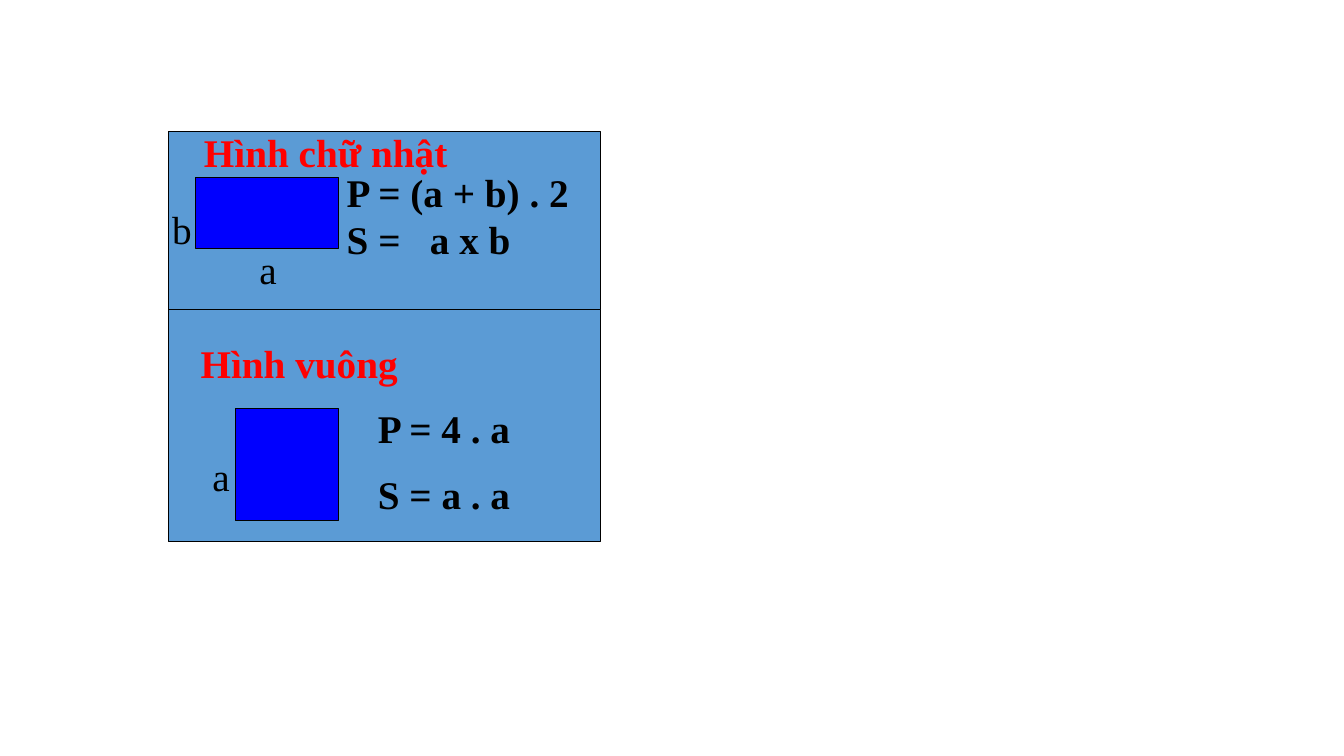
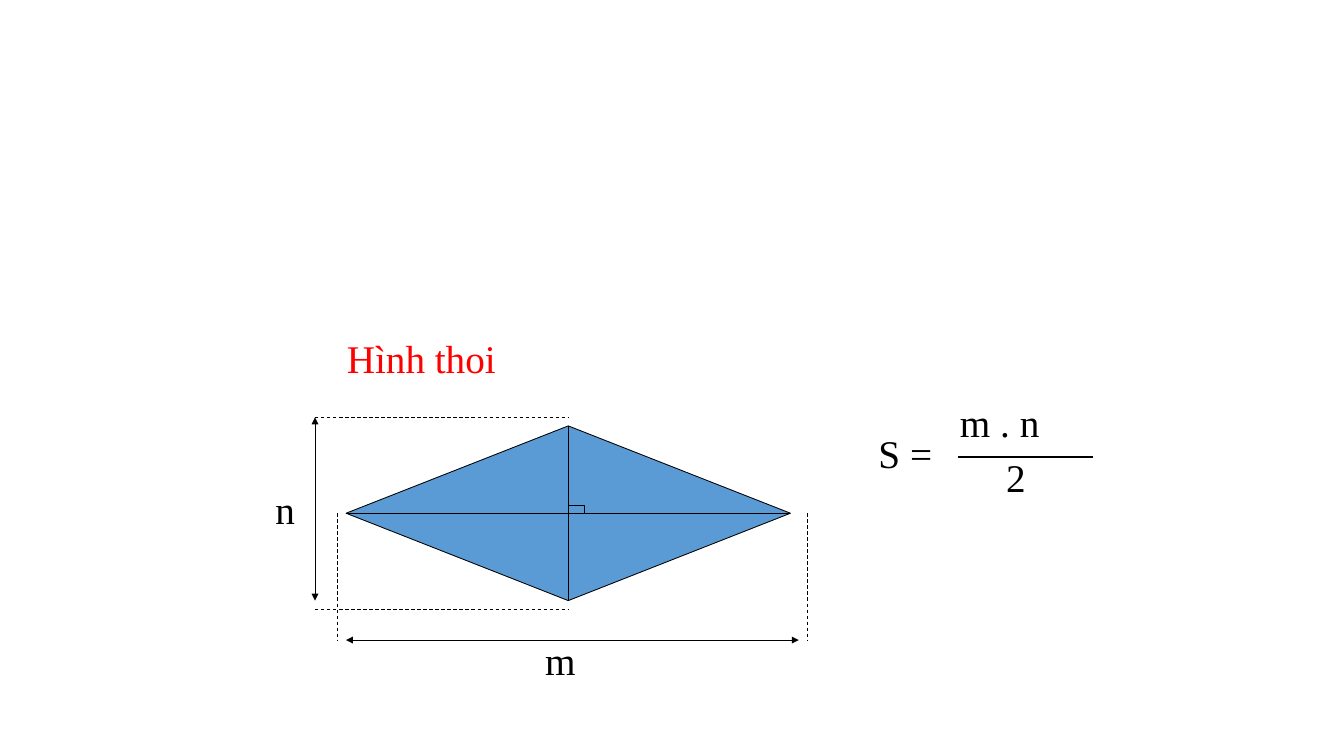
from lxml import etree
from pptx import Presentation
from pptx.dml.color import RGBColor
from pptx.enum.dml import MSO_LINE
from pptx.enum.shapes import MSO_CONNECTOR, MSO_SHAPE
from pptx.oxml.ns import qn
from pptx.util import Inches, Pt

RECTANGLE = MSO_SHAPE.RECTANGLE
DIAMOND = MSO_SHAPE.DIAMOND
STRAIGHT = MSO_CONNECTOR.STRAIGHT
DASH = MSO_LINE.DASH

BLACK = RGBColor(0x00, 0x00, 0x00)
RED = RGBColor(0xFF, 0x00, 0x00)
BLUE = RGBColor(0x00, 0x00, 0xFF)
PANEL = RGBColor(0x5B, 0x9B, 0xD5)
FONT = "Times New Roman"
TEXT_SIZE = 33.6
LABEL_HEIGHT = 0.67

PANEL_LEFT, PANEL_WIDTH = 2, 5.15
FIGURE_RIGHT = 4.03
FORMULA_TAB = 0.99

FIGURES = [
    {
        "panel": (1.57, 2.11),
        "figure": (2.11, 1.7, 0.85),
        "title": ("Hình chữ nhật", 2.33, 1.48, 3.21),
        "sides": [("a", 2.99, 2.87, 0.66), ("b", 1.95, 2.4, 0.47)],
        "formulas": (["P = (a + b) . 2", "S =\ta x b"], 4.03, 1.95, 3.17, 1.23),
        "gap": 0,
    },
    {
        "panel": (3.68, 2.77),
        "figure": (4.86, 1.23, 1.34),
        "title": ("Hình vuông", 2.29, 3.99, 2.81),
        "sides": [("a", 2.43, 5.33, 0.57)],
        "formulas": (["P = 4 . a", "S = a . a"], 4.4, 4.76, 2.2, 1.51),
        "gap": TEXT_SIZE / 2,
    },
]

RHOMBUS = (4.12, 5.07, 5.29, 2.08)
RHOMBUS_TITLE = ("Hình thoi", 4.03, 3.93, 3.21)
RHOMBUS_LABELS = [
    ("n", 3.18, 5.73, 0.47),
    ("m", 6.39, 7.53, 1.32),
    ("S =", 10.36, 5.06, 1.23),
    ("m . n", 11.33, 4.69, 1.58),
    ("2", 11.88, 5.35, 0.66),
]
FRACTION_BAR = (11.4, 5.44, 13.01, 5.44)
HEIGHT_ARROW_X, WIDTH_ARROW_Y = 3.75, 7.62
GUIDE_GAP = 0.1
RIGHT_ANGLE = (0.19, 0.09)


def add_block(slide, kind, left, top, width, height, color):
    shape = slide.shapes.add_shape(
        kind, Inches(left), Inches(top), Inches(width), Inches(height))
    shape.shadow.inherit = False
    shape.fill.solid()
    shape.fill.fore_color.rgb = color
    shape.line.color.rgb = BLACK
    shape.line.width = Pt(0.75)


def add_text(slide, lines, left, top, width, height=LABEL_HEIGHT,
             color=BLACK, bold=False, gap=0):
    box = slide.shapes.add_textbox(
        Inches(left), Inches(top), Inches(width), Inches(height))
    box.text_frame.word_wrap = True
    box.text_frame.text = "\n".join(lines)
    for index, paragraph in enumerate(box.text_frame.paragraphs):
        if index and gap:
            paragraph.space_before = Pt(gap)
        if "\t" in lines[index]:
            properties = paragraph._p.get_or_add_pPr()
            stops = etree.SubElement(properties, qn("a:tabLst"))
            etree.SubElement(stops, qn("a:tab"), pos=str(Inches(FORMULA_TAB)), algn="l")
        for run in paragraph.runs:
            run.font.name = FONT
            run.font.size = Pt(TEXT_SIZE)
            run.font.bold = bold
            run.font.color.rgb = color


def add_line(slide, x1, y1, x2, y2, weight=0.75, dashed=False, arrows=False):
    connector = slide.shapes.add_connector(
        STRAIGHT, Inches(x1), Inches(y1), Inches(x2), Inches(y2))
    connector.line.color.rgb = BLACK
    connector.line.width = Pt(weight)
    if dashed:
        connector.line.dash_style = DASH
    if arrows:
        outline = connector.line._get_or_add_ln()
        for end in ("a:headEnd", "a:tailEnd"):
            etree.SubElement(outline, qn(end), type="triangle")
    etree.SubElement(connector._element.spPr, qn("a:effectLst"))


def build_rectangles(slide):
    for item in FIGURES:
        panel_top, panel_height = item["panel"]
        add_block(slide, RECTANGLE, PANEL_LEFT, panel_top, PANEL_WIDTH, panel_height, PANEL)
        top, width, height = item["figure"]
        add_block(slide, RECTANGLE, FIGURE_RIGHT - width, top, width, height, BLUE)
        lines, *place = item["formulas"]
        add_text(slide, lines, *place, bold=True, gap=item["gap"])
        for label, *place in item["sides"]:
            add_text(slide, [label], *place)
        title, *place = item["title"]
        add_text(slide, [title], *place, color=RED, bold=True)


def build_rhombus(slide):
    left, top, width, height = RHOMBUS
    right, bottom = left + width, top + height
    center_x, center_y = left + width / 2, top + height / 2
    add_block(slide, DIAMOND, *RHOMBUS, PANEL)
    add_line(slide, center_x, top, center_x, bottom)
    add_line(slide, left, center_y, right, center_y)
    mark_width, mark_height = RIGHT_ANGLE
    add_block(slide, RECTANGLE, center_x, center_y - mark_height,
              mark_width, mark_height, PANEL)

    add_line(slide, HEIGHT_ARROW_X, top - GUIDE_GAP, HEIGHT_ARROW_X, bottom, arrows=True)
    add_line(slide, left, WIDTH_ARROW_Y, right + GUIDE_GAP, WIDTH_ARROW_Y, arrows=True)
    for y in (top - GUIDE_GAP, bottom + GUIDE_GAP):
        add_line(slide, HEIGHT_ARROW_X, y, center_x, y, dashed=True)
    for x in (left - GUIDE_GAP, right + 2 * GUIDE_GAP):
        add_line(slide, x, center_y, x, WIDTH_ARROW_Y, dashed=True)

    title, *place = RHOMBUS_TITLE
    add_text(slide, [title], *place, color=RED)
    for label, *place in RHOMBUS_LABELS:
        add_text(slide, [label], *place)
    add_line(slide, *FRACTION_BAR, weight=2.25)


presentation = Presentation()
presentation.slide_width = Inches(16)
presentation.slide_height = Inches(9)
for build in (build_rectangles, build_rhombus):
    build(presentation.slides.add_slide(presentation.slide_layouts[6]))
presentation.save("out.pptx")
